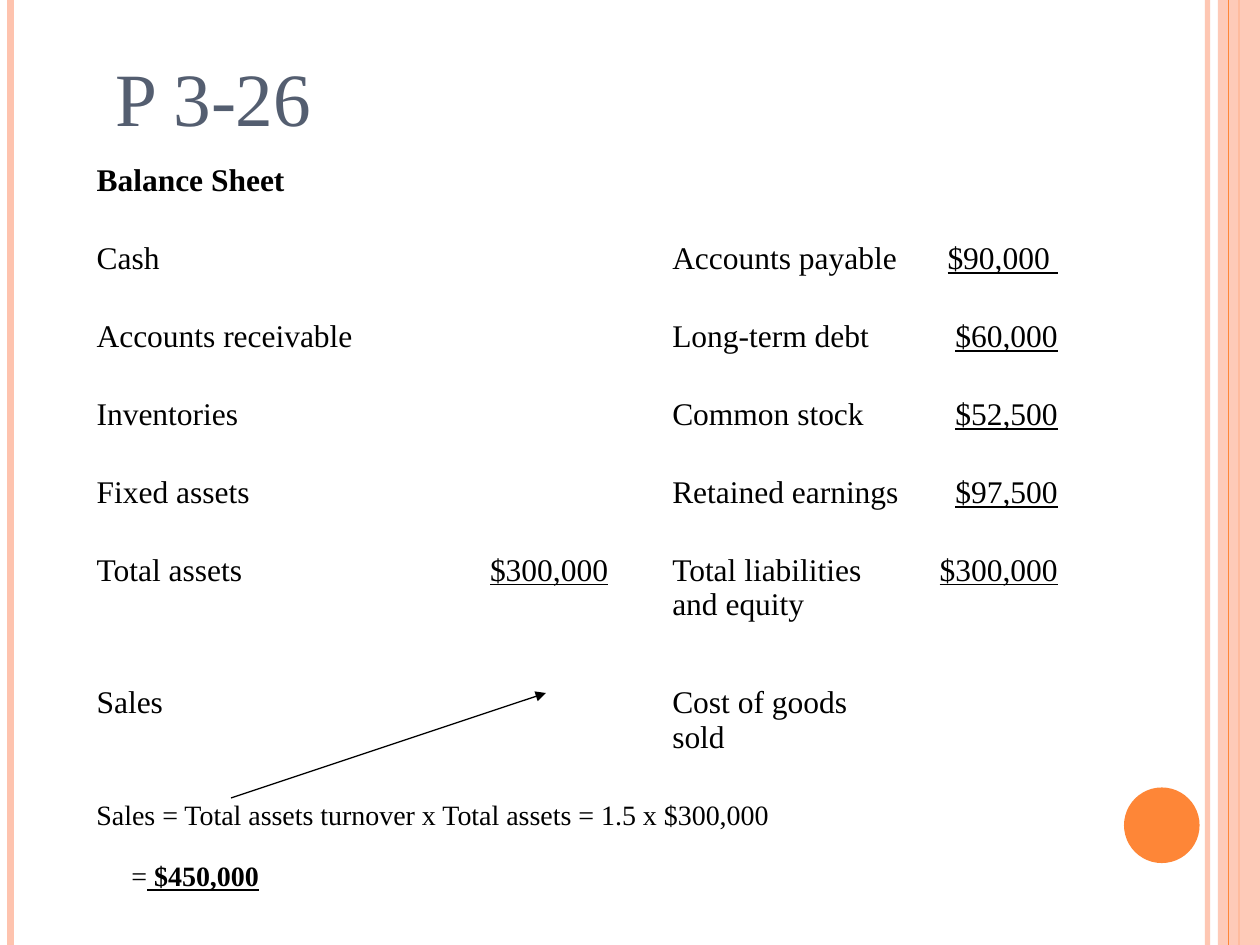
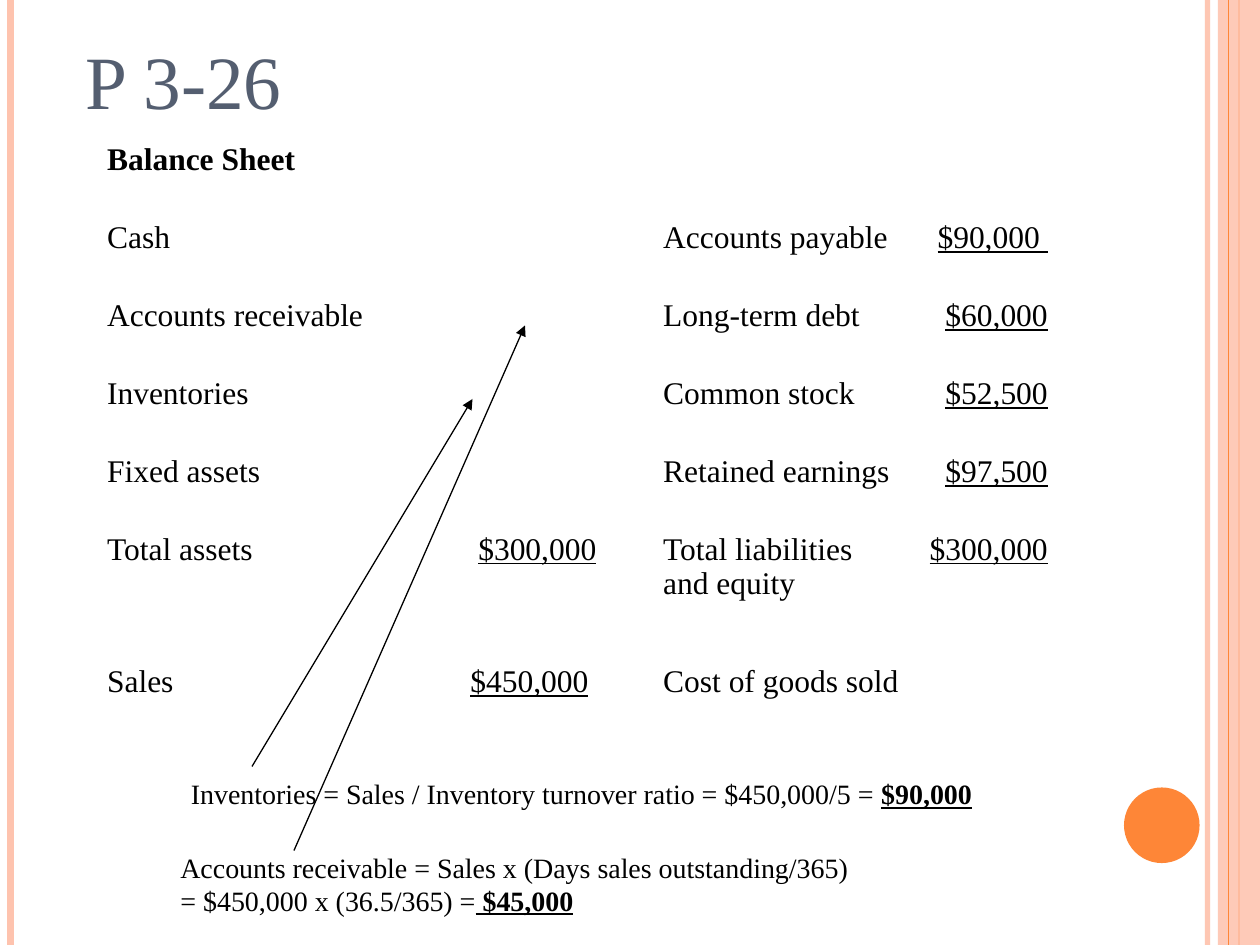
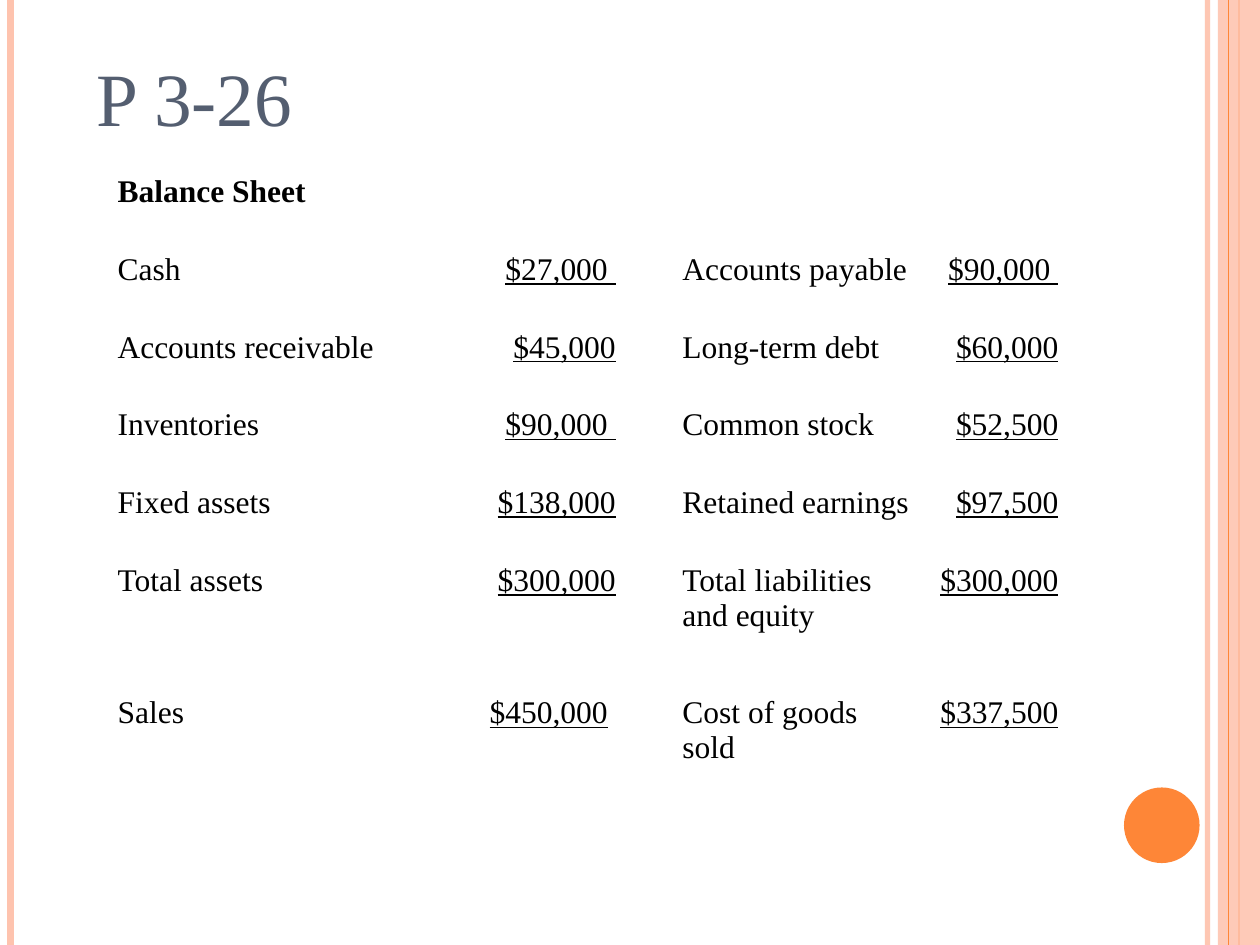
from pptx import Presentation
from pptx.dml.color import RGBColor
from pptx.enum.shapes import MSO_CONNECTOR as Connector, MSO_SHAPE as Shape
from pptx.enum.text import MSO_ANCHOR as Anchor, PP_ALIGN as Align
from pptx.oxml.ns import qn
from pptx.util import Pt
from lxml.etree import SubElement

COLORS = {"peach": "FEC3AE", "orange": "FE8637", "title": "545E70", "text": "000000"}
FONT = "Times New Roman"
WIDTH, HEIGHT = 720, 540
ROW_HEIGHTS = [44.5] * 5 + [75.6, 44.6]
STRONG = {"bold": True, "underline": True}

# The frame shared by all slides: x, line width, colour, opacity in percent
BACK_LINES = [(690, 3, "peach", 93), (6, 4.5, "peach", 100), (708, 1.5, "orange", 100)]
FRONT_LINES = [(702, 0.75, "orange", 100)]

# Balance sheet: "|" ends the underlined part of an amount
LABELS = [
    ("Balance Sheet", ""),
    ("Cash", "Accounts payable"),
    ("Accounts receivable", "Long-term debt"),
    ("Inventories", "Common stock"),
    ("Fixed assets", "Retained earnings"),
    ("Total assets", "Total liabilities and equity"),
    ("Sales", "Cost of goods sold"),
]
LIABILITIES = ["", "$90,000 ", "$60,000", "$52,500", "$97,500", "$300,000"]

# Notes: left, top, width, height, then paragraphs as (space before, indent, runs)
SLIDES = [
    {
        "title": (59, 21.6),
        "table": (48, 90), "columns": [216, 90.7, 22.3, 147.6, 87.1],
        "assets": ["", "", "", "", "", "$300,000", ""], "cost": "",
        "notes": [(48, 456, 522, 42.5, [
            (0, 0, [("Sales = Total assets turnover x Total assets = 1.5 x $300,000", {})]),
            (19.6, 20, [("=", {}), (" $450,000", STRONG)])])],
        "arrows": [(132, 456, 312, 396)],
    },
    {
        "title": (42, 12),
        "table": (54, 78), "columns": [204, 90, 23.8, 150, 84.2],
        "assets": ["", "", "", "", "", "$300,000", "$450,000| "], "cost": "",
        "notes": [
            (102, 444, 522, 42.5, [
                (0, 0, [("Inventories = Sales / Inventory turnover ratio = $450,000/5 = ", {}),
                        ("$90,000", STRONG)])]),
            (96, 486, 498, 64.8, [
                (0, 0, [("Accounts receivable = Sales x (Days sales outstanding/365)", {})]),
                (3.5, 0, [("= $450,000 x (36.5/365) =", {}), (" $45,000", STRONG)])])],
        "arrows": [(144, 438, 270, 228), (168, 486, 300, 186)],
    },
    {
        "title": (48, 21.6),
        "table": (60, 96), "columns": [209, 90, 23.8, 144, 85.2],
        "assets": ["", "$27,000 ", "$45,000", "$90,000 ", "$138,000", "$300,000", "$450,000| "],
        "cost": "$337,500",
        "notes": [], "arrows": [],
    },
]


def add_run(paragraph, text, size, color="text", **formats):
    run = paragraph.add_run()
    run.text = text
    run.font.color.rgb = RGBColor.from_string(COLORS[color])
    for name, value in {"name": FONT, "size": Pt(size), **formats}.items():
        setattr(run.font, name, value)


def add_line(slide, x1, y1, x2, y2, width, color, opacity=100, arrow=False):
    line = slide.shapes.add_connector(Connector.STRAIGHT, Pt(x1), Pt(y1), Pt(x2), Pt(y2))
    line.line.width = Pt(width)
    line.line.color.rgb = RGBColor.from_string(COLORS[color])
    properties = line.line._get_or_add_ln()
    if opacity < 100:
        SubElement(properties.find(".//" + qn("a:srgbClr")), qn("a:alpha"), val=str(opacity * 1000))
    if arrow:
        SubElement(properties, qn("a:tailEnd"), type="triangle")
    SubElement(line._element.spPr, qn("a:effectLst"))


presentation = Presentation()
presentation.slide_width, presentation.slide_height = Pt(WIDTH), Pt(HEIGHT)

for content in SLIDES:
    slide = presentation.slides.add_slide(presentation.slide_layouts[6])

    # Frame
    for x, *style in BACK_LINES:
        add_line(slide, x, 0, x, HEIGHT, *style)
    for kind, box, color in [(Shape.RECTANGLE, (696, 0, 24, HEIGHT), "peach"),
                             (Shape.OVAL, (642.3, 450, 43.2, 43.2), "orange")]:
        shape = slide.shapes.add_shape(kind, *map(Pt, box))
        shape.shadow.inherit = False
        shape.fill.solid()
        shape.fill.fore_color.rgb = RGBColor.from_string(COLORS[color])
        shape.line.fill.background()
        if kind == Shape.RECTANGLE:
            fill_color = shape._element.spPr.find(".//" + qn("a:srgbClr"))
            SubElement(fill_color, qn("a:alpha"), val="87000")
    for x, *style in FRONT_LINES:
        add_line(slide, x, 0, x, HEIGHT, *style)

    # Title
    left, top = content["title"]
    title = slide.shapes.add_textbox(Pt(left), Pt(top), Pt(590.4), Pt(62.6)).text_frame
    title.word_wrap = True
    title.vertical_anchor = Anchor.BOTTOM
    add_run(title.paragraphs[0], "P 3-26", 43, "title")

    # Balance sheet
    columns = content["columns"]
    table = slide.shapes.add_table(
        len(LABELS), len(columns), *map(Pt, content["table"]),
        Pt(sum(columns)), Pt(sum(ROW_HEIGHTS))).table
    table.first_row = table.horz_banding = False
    for column, width in zip(table.columns, columns):
        column.width = Pt(width)
    for row, height in zip(table.rows, ROW_HEIGHTS):
        row.height = Pt(height)
    amounts = zip(content["assets"], LIABILITIES + [content["cost"]])
    for row, (left_label, right_label), (asset, liability) in zip(table.rows, LABELS, amounts):
        texts = [left_label, asset, "", right_label, liability]
        for index, (cell, text) in enumerate(zip(row.cells, texts)):
            cell.fill.background()
            paragraph = cell.text_frame.paragraphs[0]
            is_amount = index in (1, 4)
            if is_amount:
                paragraph.alignment = Align.RIGHT
            main, _, rest = text.partition("|")
            if main:
                add_run(paragraph, main, 18, bold=main == "Balance Sheet", underline=is_amount)
            if rest:
                add_run(paragraph, rest, 18)

    # Calculations
    for *box, paragraphs in content["notes"]:
        frame = slide.shapes.add_textbox(*map(Pt, box)).text_frame
        frame.word_wrap = True
        for number, (space, indent, runs) in enumerate(paragraphs):
            paragraph = frame.add_paragraph() if number else frame.paragraphs[0]
            paragraph.line_spacing = 0.8
            paragraph.space_before = Pt(space)
            if indent:
                paragraph._p.get_or_add_pPr().set("marL", str(Pt(indent)))
            for text, formats in runs:
                add_run(paragraph, text, 16, **formats)

    # Arrows from a calculation to its place in the sheet
    for ends in content["arrows"]:
        add_line(slide, *ends, 0.75, "text", arrow=True)

presentation.save("out.pptx")
